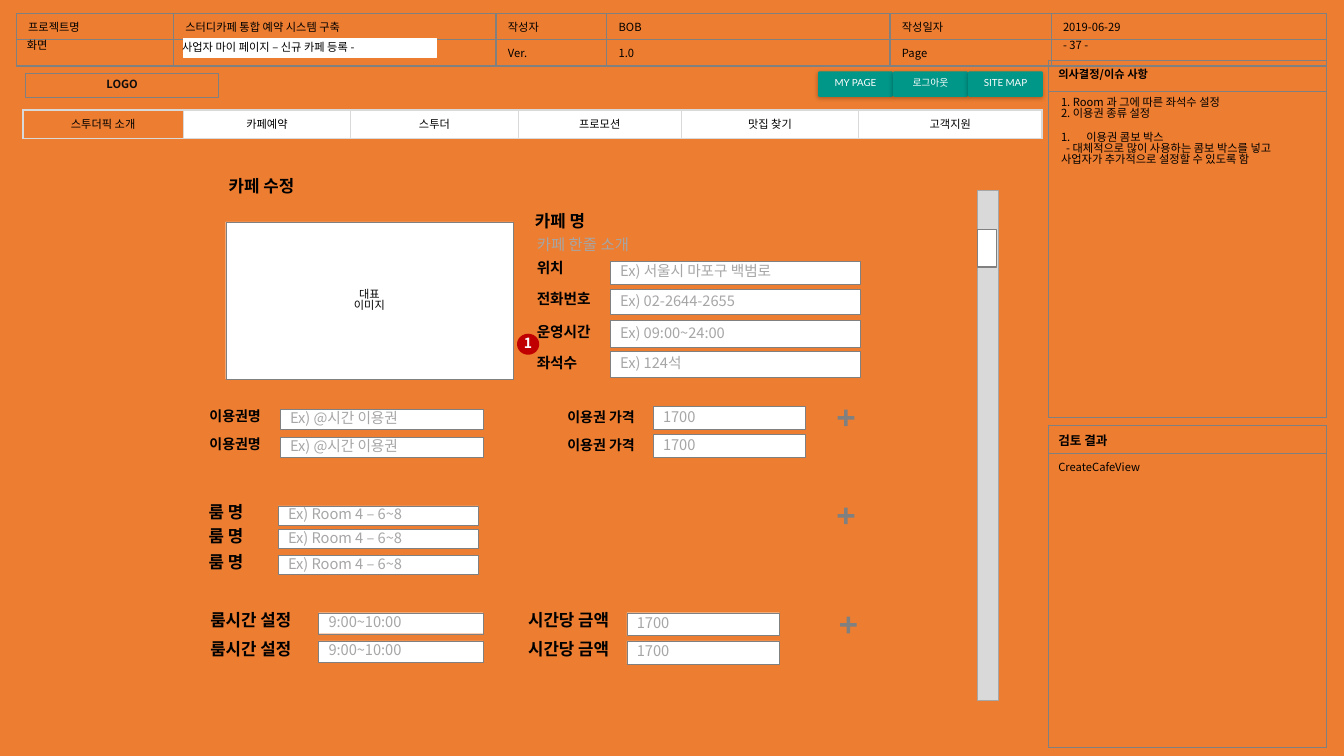
from collections import namedtuple

from lxml.etree import SubElement
from pptx import Presentation
from pptx.dml.color import RGBColor
from pptx.enum.shapes import MSO_SHAPE as Preset
from pptx.enum.text import MSO_ANCHOR as Anchor, MSO_AUTO_SIZE as AutoSize, PP_ALIGN as Align
from pptx.oxml.ns import qn
from pptx.util import Cm, Pt

FONT = "Noto Sans CJK KR"
BLACK, WHITE, GRAY, PALE, HINT = "000000", "FFFFFF", "808080", "D9D9D9", "A6A6A6"
TEAL, RED, ORANGE, INK = "009688", "C00000", "ED7D31", "0D0D0D"
TIGHT = 0.82
ROW_STEP = 0.71

Box = namedtuple("Box", "left top width height")
Column = namedtuple("Column", "label label_left label_top size hint field")


def color(value):
    return RGBColor.from_string(value)


def lengths(box):
    return [Cm(value) for value in box]


def within(outer, left, top, width, height):
    return Box(outer.left + left, outer.top + top, width, height)


def format_para(para, size, ink=BLACK, bold=False, align=Align.LEFT, spacing=TIGHT, name=FONT):
    para.alignment = align
    para.line_spacing = spacing
    font = para.font
    font.size, font.bold, font.name = Pt(size), bold, name
    font.color.rgb = color(ink)
    SubElement(para._p.pPr.find(qn("a:defRPr")), qn("a:ea"), typeface=FONT)


def write(shape, text, size, anchor=Anchor.TOP, wrap=True, **style):
    frame = shape.text_frame
    frame.word_wrap = wrap
    frame.auto_size = AutoSize.NONE
    frame.vertical_anchor = anchor
    frame.text = text
    for para in frame.paragraphs:
        format_para(para, size, **style)
    return frame


def add_label(page, box, text, size, **style):
    return write(page.shapes.add_textbox(*lengths(box)), text, size, **style)


def add_block(shapes, box, fill=None, line=None, weight=0.25, preset=Preset.RECTANGLE):
    block = shapes.add_shape(preset, *lengths(box))
    block.shadow.inherit = False
    if fill:
        block.fill.solid()
        block.fill.fore_color.rgb = color(fill)
    else:
        block.fill.background()
    if line:
        block.line.color.rgb = color(line)
        block.line.width = Pt(weight)
    else:
        block.line.fill.background()
    return block


def add_field(page, box, hint):
    frame = write(add_block(page.shapes, box, WHITE, GRAY), hint, 10.5, Anchor.MIDDLE, ink=HINT)
    frame.margin_top = frame.margin_bottom = 0


def add_border(cell, line_color):
    props = cell._tc.get_or_add_tcPr()
    for side in ("lnL", "lnR", "lnT", "lnB"):
        line = SubElement(props, qn("a:" + side), w=str(Pt(1)))
        SubElement(SubElement(line, qn("a:solidFill")), qn("a:srgbClr"), val=line_color)


def add_grid(page, box, widths, heights, rows, border=GRAY, margin=0.25, filled=(), size=8,
             anchor=Anchor.TOP, **style):
    table = page.shapes.add_table(len(heights), len(widths), *lengths(box)).table
    table.first_row = table.horz_banding = False
    for column, width in zip(table.columns, widths):
        column.width = Cm(width)
    for row, height, texts in zip(table.rows, heights, rows):
        row.height = Cm(height)
        for index, (cell, text) in enumerate(zip(row.cells, texts)):
            add_border(cell, border)
            if index in filled:
                cell.fill.solid()
                cell.fill.fore_color.rgb = color(WHITE)
            else:
                cell.fill.background()
            cell.margin_left = cell.margin_right = Cm(margin)
            cell.vertical_anchor = anchor
            cell.text = text
            para = cell.text_frame.paragraphs[0]
            format_para(para, size, spacing=1.0, **style)
            if not text:
                para._p.get_or_add_endParaRPr().set("sz", str(size * 100))
    return table


def document_header(page, box):
    add_grid(page, box, [3.96, 8.13, 2.79, 7.14, 4.06, 6.93], [box.height / 2] * 2,
             [["프로젝트명", "스터디카페 통합 예약 시스템 구축", "작성자", "BOB", "작성일자", "2019-06-29"],
              ["", "", "Ver.", "1.0", "Page", ""]], margin=0.3)
    add_block(page.shapes, within(box, 4.21, 0.64, 6.38, 0.48), WHITE, WHITE, 1)
    add_label(page, within(box, 3.93, 0.64, 6.65, 0.51), "사업자 마이 페이지 – 신규 카페 등록 -", 8,
              anchor=Anchor.MIDDLE)
    add_label(page, within(box, 0.02, 0.58, 1.04, 0.61), "화면", 8, wrap=False)
    add_label(page, within(box, 26.13, 0.58, 2.72, 0.61), "- 37 -", 8)


def issue_panel(page, box):
    add_grid(page, box, [box.width], [0.79, box.height - 0.79], [["의사결정/이슈 사항"], [""]], bold=True)
    notes = page.shapes.add_textbox(*lengths(within(box, 0.07, 0.82, 6.38, 3.4)))
    frame = write(notes, "1. Room 과 그에 따른 좌석수 설정\n2. 이용권 종류 설정", 8)
    numbered, detail = frame.add_paragraph(), frame.add_paragraph()
    numbered.text = "이용권 콤보 박스"
    detail.text = "- 대체적으로 많이 사용하는 콤보 박스를 넣고 사업자가 추가적으로 설정할 수 있도록 함"
    props = numbered._p.get_or_add_pPr()
    props.set("marL", str(Cm(0.64)))
    props.set("indent", str(-Cm(0.64)))
    SubElement(props, qn("a:buAutoNum"), type="arabicPeriod")
    detail._p.get_or_add_pPr().set("indent", str(Cm(0.13)))
    for para in (numbered, detail):
        format_para(para, 8)
    numbered.space_before = Pt(9.5)


def review_panel(page, box):
    table = add_grid(page, box, [box.width], [0.71, box.height - 0.71], [["검토 결과"], ["CreateCafeView"]])
    heading = table.cell(0, 0)
    heading.vertical_anchor = Anchor.MIDDLE
    heading.text_frame.paragraphs[0].font.size = Pt(9)
    heading.text_frame.paragraphs[0].font.bold = True


def site_header(page, box):
    logo = add_block(page.shapes, within(box, 0.06, 0.05, 4.88, 0.61), line=GRAY, weight=0.75)
    write(logo, "LOGO", 8, Anchor.MIDDLE, ink=INK, bold=True, align=Align.CENTER)
    for index, text in enumerate(["MY PAGE", "로그아웃", "SITE MAP"]):
        button = add_block(page.shapes, within(box, 20.04 + 1.89 * index, 0, 1.88, 0.64), TEAL,
                           preset=Preset.ROUNDED_RECTANGLE)
        button.adjustments[0] = 0.05
        frame = write(button, text, 7, Anchor.MIDDLE, ink=WHITE, align=Align.CENTER, name="Lato")
        frame.margin_left = frame.margin_right = Cm(0.2)
        shadow = SubElement(button._element.spPr.find(qn("a:effectLst")), qn("a:outerShdw"),
                            blurRad=str(Pt(3)), dist=str(Pt(1)), dir="5400000", rotWithShape="0")
        SubElement(SubElement(shadow, qn("a:srgbClr"), val=BLACK), qn("a:alpha"), val="25000")
    add_grid(page, within(box, 0, 0.97, box.width, 0.71), [4.04, 4.22, 4.22, 4.11, 4.47, 4.62], [0.71],
             [["스투더픽 소개", "카페예약", "스투더", "프로모션", "맛집 찾기", "고객지원"]], border=PALE,
             margin=0.3, filled=range(1, 6), anchor=Anchor.MIDDLE, align=Align.CENTER)


def cafe_profile(page, box):
    title = page.shapes.title
    title.left, title.top, title.width, title.height = lengths(Box(box.left - 0.18, box.top, 3.84, 0.76))
    write(title, "카페 수정", 12, bold=True)
    photo = add_block(page.shapes, within(box, 0, 1.2, 7.24, 3.96), WHITE, GRAY)
    write(photo, "대표\n이미지", 8, Anchor.MIDDLE, align=Align.CENTER)
    add_label(page, within(box, 7.54, 0.89, 3.63, 0.76), "카페 명", 12, bold=True)
    add_label(page, within(box, 7.59, 1.48, 7.57, 0.74), "카페 한줄 소개", 11, ink=HINT)
    for label, label_top, hint, field_top, height in [
            ("위치", 2.09, "Ex) 서울시 마포구 백범로", 2.19, 0.58),
            ("전화번호", 2.87, "Ex) 02-2644-2655", 2.9, 0.64),
            ("운영시간", 3.69, "Ex) 09:00~24:00", 3.69, 0.66),
            ("좌석수", 4.47, "Ex) 124석", 4.47, 0.64)]:
        add_field(page, within(box, 9.69, field_top, 6.3, height), hint)
        add_label(page, within(box, 7.59, label_top, 3.63, 0.74), label, 10.5, bold=True)
    badge = add_block(page.shapes, within(box, 7.34, 4.02, 0.56, 0.53), RED, preset=Preset.OVAL)
    frame = write(badge, "1", 10, Anchor.MIDDLE, wrap=False, ink=WHITE, bold=True, align=Align.CENTER)
    frame.margin_left = frame.margin_right = frame.margin_top = frame.margin_bottom = 0


def repeat_form(page, box, columns, offsets, plus_left, plus_top):
    for offset in offsets:
        for column in columns:
            left, top, width, height = column.field
            add_field(page, within(box, left, top + offset, width, height), column.hint)
            add_label(page, within(box, column.label_left, column.label_top + offset, 3.63, 0.76),
                      column.label, column.size, bold=True)
    plus = page.shapes.add_group_shape()
    for width, height in [(0.42, 0.09), (0.09, 0.42)]:
        add_block(plus.shapes, within(box, plus_left - width / 2, plus_top - height / 2, width, height), GRAY)


def scroll_bar(page, box):
    add_block(page.shapes, box, PALE, HINT, 0.5)
    add_block(page.shapes, within(box, 0, 0.99, 0.48, 0.94), WHITE, GRAY, 1)


def main():
    deck = Presentation()
    deck.slide_width, deck.slide_height = Cm(33.87), Cm(19.05)
    page = deck.slides.add_slide(deck.slide_layouts[5])
    page.background.fill.solid()
    page.background.fill.fore_color.rgb = color(ORANGE)
    document_header(page, Box(0.41, 0.33, 33.01, 1.22))
    issue_panel(page, Box(26.42, 1.52, 7.01, 9.0))
    review_panel(page, Box(26.42, 10.72, 7.01, 8.1))
    site_header(page, Box(0.58, 1.8, 25.68, 1.68))
    cafe_profile(page, Box(5.69, 4.39, 16.0, 5.16))
    ticket = Column("이용권명", 0, 0, 10, "Ex) @시간 이용권", Box(2.03, 0.1, 5.11, 0.51))
    price = Column("이용권 가격", 9.02, 0.03, 10, "1700", Box(11.43, 0.03, 3.84, 0.58))
    repeat_form(page, Box(5.03, 10.21, 16.5, 1.4), [ticket, price], [0, ROW_STEP], 16.29, 0.32)
    room = Column("룸 명", 0, 0, 12, "Ex) Room 4 – 6~8", Box(2.0, 0.13, 5.05, 0.48))
    repeat_form(page, Box(5.01, 12.62, 16.5, 2.0), [room], [0, 0.59, 1.25], 16.31, 0.38)
    slot = Column("룸시간 설정", 0, 0, 12, "9:00~10:00", Box(2.98, 0.1, 4.14, 0.53))
    rate = Column("시간당 금액", 8.01, 0, 12, "1700", Box(10.75, 0.1, 3.84, 0.58))
    repeat_form(page, Box(5.05, 15.34, 16.5, 1.4), [slot, rate], [0, ROW_STEP], 16.33, 0.41)
    scroll_bar(page, Box(24.64, 4.8, 0.51, 12.85))
    deck.save("out.pptx")


if __name__ == "__main__":
    main()
